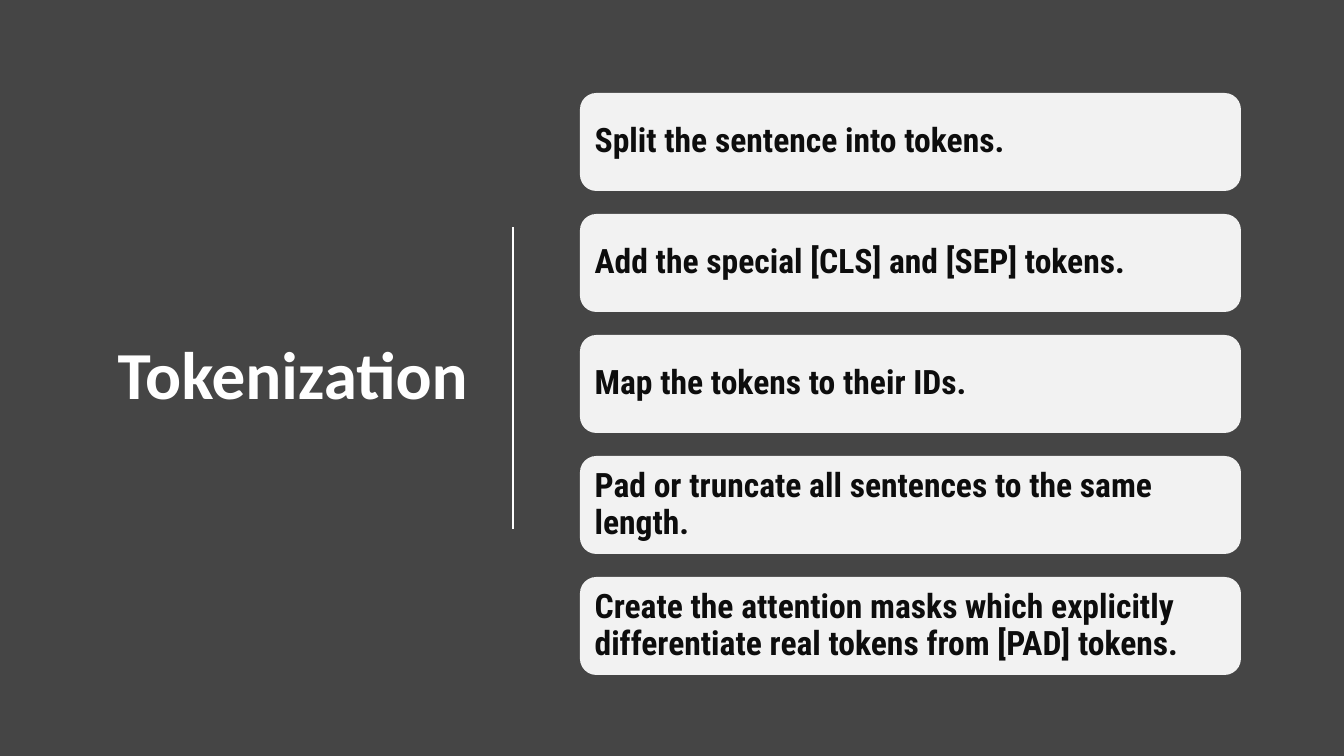
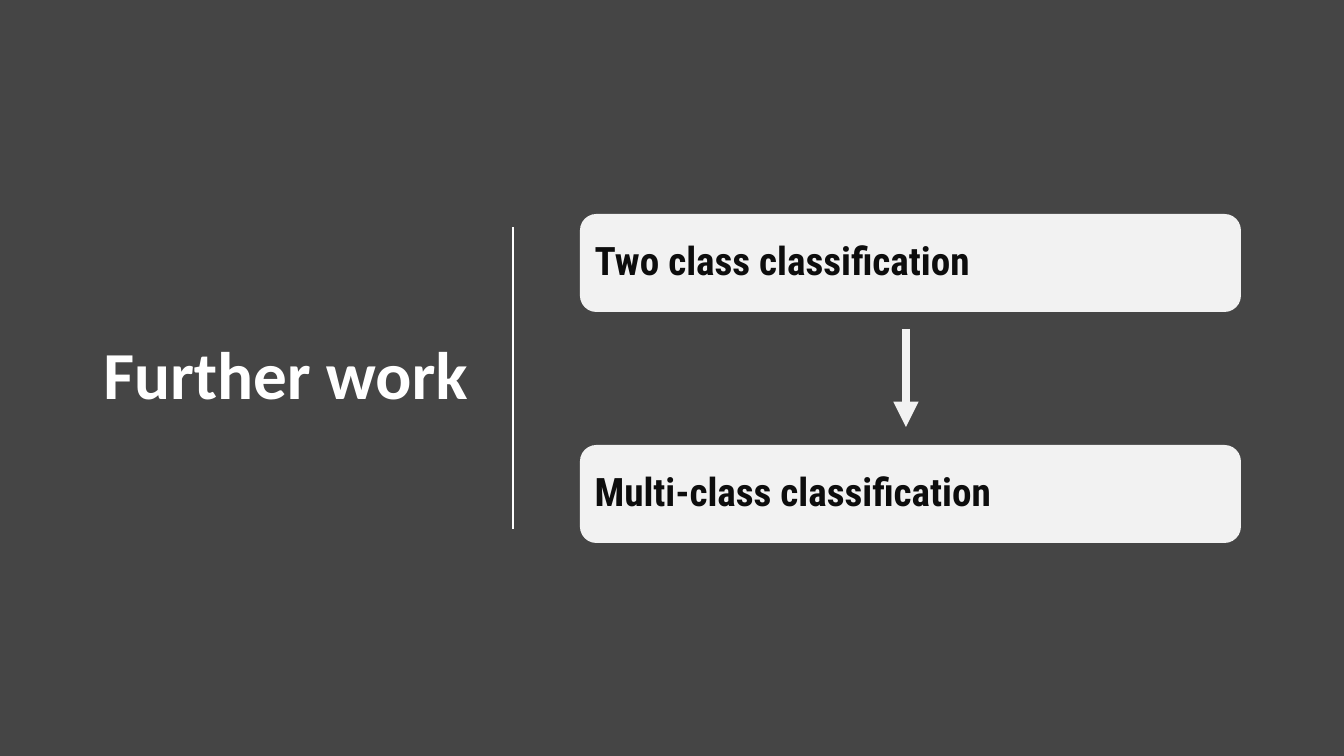
from lxml.etree import SubElement
from pptx import Presentation
from pptx.dml.color import RGBColor
from pptx.enum.shapes import MSO_CONNECTOR, MSO_SHAPE
from pptx.enum.text import MSO_ANCHOR, PP_ALIGN
from pptx.oxml.ns import qn
from pptx.util import Pt

PX = 12192000 / 1344
COLORS = {
    "background": "454545",
    "title": "FFFFFF",
    "card": "F2F2F2",
    "text": "0D0D0D",
}
CARD_LEFT, CARD_WIDTH, CARD_HEIGHT = 580, 661, 98
CARD_TOP, CARD_PITCH = 93, 121


def px(n):
    return round(n * PX)


def rgb(name):
    return RGBColor.from_string(COLORS[name])


class Deck:
    def __init__(self):
        self.prs = Presentation()
        self.prs.slide_width, self.prs.slide_height = px(1344), px(756)
        self.slide = None

    def add_slide(self, title):
        self.slide = self.prs.slides.add_slide(self.prs.slide_layouts[6])
        fill = self.slide.background.fill
        fill.solid()
        fill.fore_color.rgb = rgb("background")
        self.title(title)
        self.line(513, 227, 529, "title", 1.25)

    def set_text(self, sp, text, size, font, color, align):
        tf = sp.text_frame
        tf.word_wrap = True
        tf.vertical_anchor = MSO_ANCHOR.MIDDLE
        p = tf.paragraphs[0]
        p.text = text
        p.alignment = align
        p.line_spacing = 0.9
        p.space_after = Pt(6)
        p.font.size = Pt(size)
        p.font.name = font
        p.font.bold = True
        p.font.color.rgb = rgb(color)

    def title(self, text):
        sp = self.slide.shapes.add_textbox(px(93), px(106), px(385), px(543))
        self.set_text(sp, text, 48, "Calibri", "title", PP_ALIGN.RIGHT)

    def card(self, text, top, size):
        sp = self.slide.shapes.add_shape(
            MSO_SHAPE.ROUNDED_RECTANGLE,
            px(CARD_LEFT), px(top), px(CARD_WIDTH), px(CARD_HEIGHT))
        sp.shadow.inherit = False
        sp.fill.solid()
        sp.fill.fore_color.rgb = rgb("card")
        sp.line.fill.background()
        self.set_text(sp, text, size, "Roboto Condensed", "text", PP_ALIGN.LEFT)

    def line(self, x, top, bottom, color, width, arrow=False):
        cx = self.slide.shapes.add_connector(
            MSO_CONNECTOR.STRAIGHT, px(x), px(top), px(x), px(bottom))
        cx.line.color.rgb = rgb(color)
        cx.line.width = Pt(width)
        props = cx.element.spPr
        if arrow:
            SubElement(props.find(qn("a:ln")), qn("a:tailEnd"), type="triangle")
        SubElement(props, qn("a:effectLst"))


def main():
    deck = Deck()

    deck.add_slide("Tokenization")
    steps = [
        "Split the sentence into tokens.",
        "Add the special [CLS] and [SEP] tokens.",
        "Map the tokens to their IDs.",
        "Pad or truncate all sentences to the same length.",
        "Create the attention masks which explicitly differentiate "
        "real tokens from [PAD] tokens.",
    ]
    for i, step in enumerate(steps):
        deck.card(step, CARD_TOP + i * CARD_PITCH, 24)

    deck.add_slide("Further work")
    deck.card("Two class classification", CARD_TOP + CARD_PITCH, 28)
    deck.card("Multi-class classification", 445, 28)
    deck.line(906, 329, 427, "card", 6, arrow=True)

    deck.prs.save("out.pptx")


if __name__ == "__main__":
    main()
